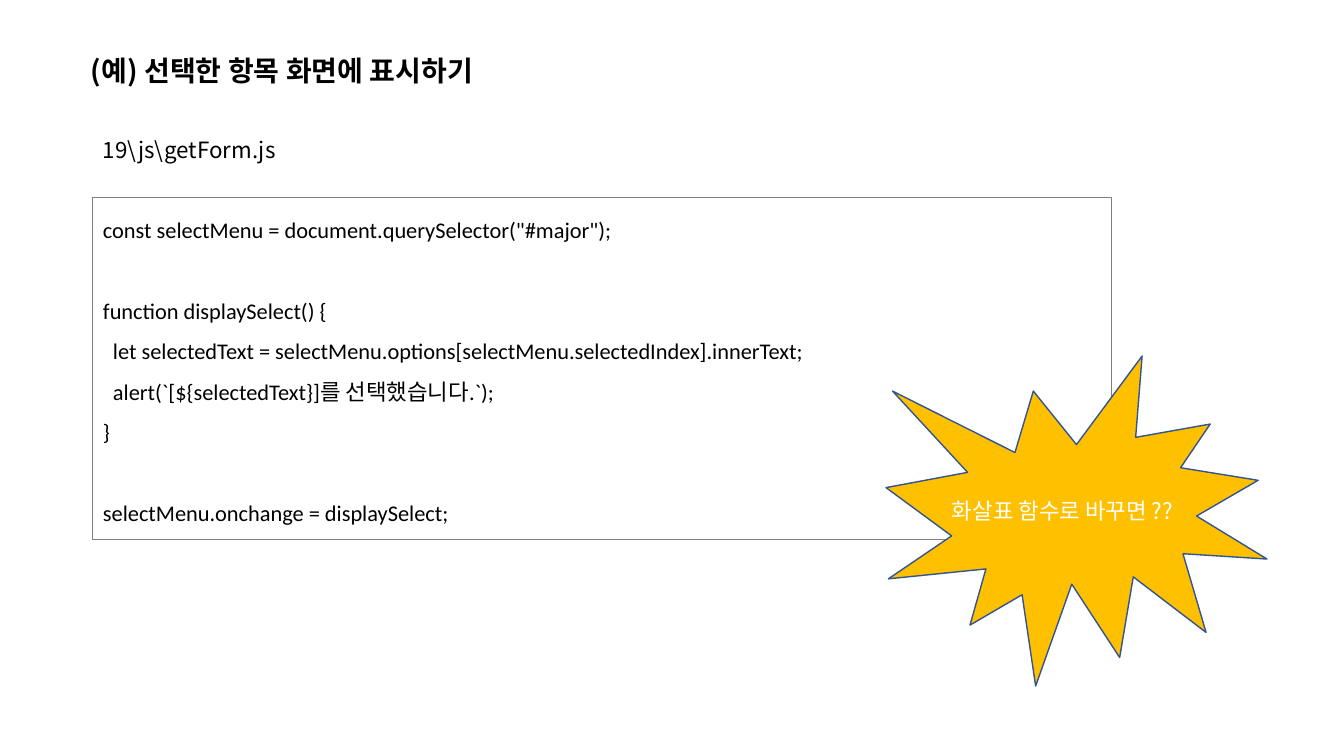
from pptx import Presentation, util as u
from pptx.dml.color import RGBColor
from pptx.enum import shapes, text
from pptx.oxml.ns import qn
from lxml import etree

PX = 914400 / 100.8
HUES = {"ink": "000000", "paper": "FFFFFF", "frame": "808080", "burst": "FFC000", "edge": "325491"}
SANS = "Noto Sans CJK KR"
CODE = [
    ('const selectMenu = document.querySelector("#major");', 0, 0),
    ("function displaySelect() {", 0, 1),
    ("let selectedText = selectMenu.options[selectMenu.selectedIndex].innerText;", 10, 0),
    ("alert(`[${selectedText}]를 선택했습니다.`);", 10, 0),
    ("}", 0, 0),
    ("selectMenu.onchange = displaySelect;", 0, 1),
]


def px(count):
    return u.Emu(round(count * PX))


def hue(name):
    return RGBColor.from_string(HUES[name])


def put(para, words, size=16, face=SANS, tone="ink", bold=False):
    para.alignment = text.PP_ALIGN.LEFT
    run = para.add_run()
    run.text = words
    font = run.font
    font.size = u.Pt(size)
    font.bold = bold
    font.color.rgb = hue(tone)
    font.name = face
    east = etree.SubElement(run._r.get_or_add_rPr(), qn("a:ea"))
    east.set("typeface", SANS)


def setup(frame, wrap=True):
    frame.word_wrap = wrap
    frame.auto_size = text.MSO_AUTO_SIZE.NONE
    frame.vertical_anchor = text.MSO_ANCHOR.TOP
    frame.margin_left = frame.margin_right = px(10)
    frame.margin_top = frame.margin_bottom = px(5)
    return frame


def outline(shape, tone, width):
    shape.shadow.inherit = False
    shape.line.color.rgb = hue(tone)
    shape.line.width = u.Pt(width)


def title(slide, x, y, w, h):
    head = slide.shapes.title
    head.left, head.top, head.width, head.height = map(px, (x, y, w, h))
    put(setup(head.text_frame).paragraphs[0], "(예) 선택한 항목 화면에 표시하기", 20, bold=True)


def label(slide, x, y, w, h, words, tone="ink", wrap=True):
    box = slide.shapes.add_textbox(*map(px, (x, y, w, h)))
    put(setup(box.text_frame, wrap).paragraphs[0], words, tone=tone)


def listing(slide, x, y, w, h):
    label(slide, x, y, 782, 37, "19\\js\\getForm.js")
    top = y + 67
    box = slide.shapes.add_shape(shapes.MSO_SHAPE.RECTANGLE, *map(px, (x, top, w, h - 67)))
    box.fill.background()
    outline(box, "frame", 0.75)
    frame = setup(box.text_frame)
    for row, (words, indent, gap) in enumerate(CODE):
        para = frame.add_paragraph() if row else frame.paragraphs[0]
        para.line_spacing = 1.5
        para.space_before = u.Pt(29 * gap)
        para._p.get_or_add_pPr().set("marL", str(px(indent)))
        put(para, words, face="Calibri")


def burst(slide, x, y, w, h):
    star = slide.shapes.add_shape(shapes.MSO_SHAPE.EXPLOSION1, *map(px, (x, y, w, h)))
    star.fill.solid()
    star.fill.fore_color.rgb = hue("burst")
    outline(star, "edge", 1)
    label(slide, x + 56, y + 136, 269, 37, "화살표 함수로 바꾸면 ??", "paper", False)


def main():
    deck = Presentation()
    deck.slide_width, deck.slide_height = px(1344), px(756)
    slide = deck.slides.add_slide(deck.slide_layouts[5])
    slide.background.fill.solid()
    slide.background.fill.fore_color.rgb = hue("paper")
    title(slide, 81, 48, 734, 44)
    listing(slide, 93, 131, 1019, 409)
    burst(slide, 886, 356, 381, 330)
    deck.save("out.pptx")


if __name__ == "__main__":
    main()
